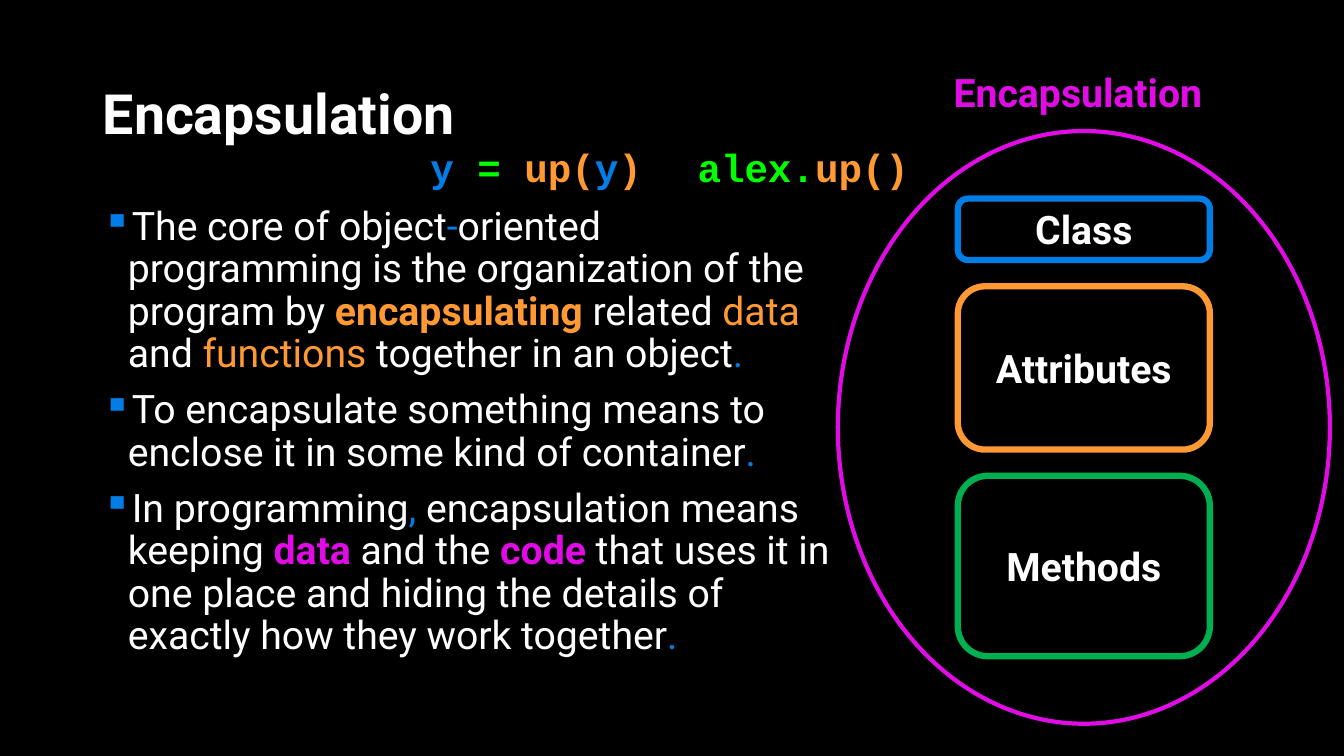
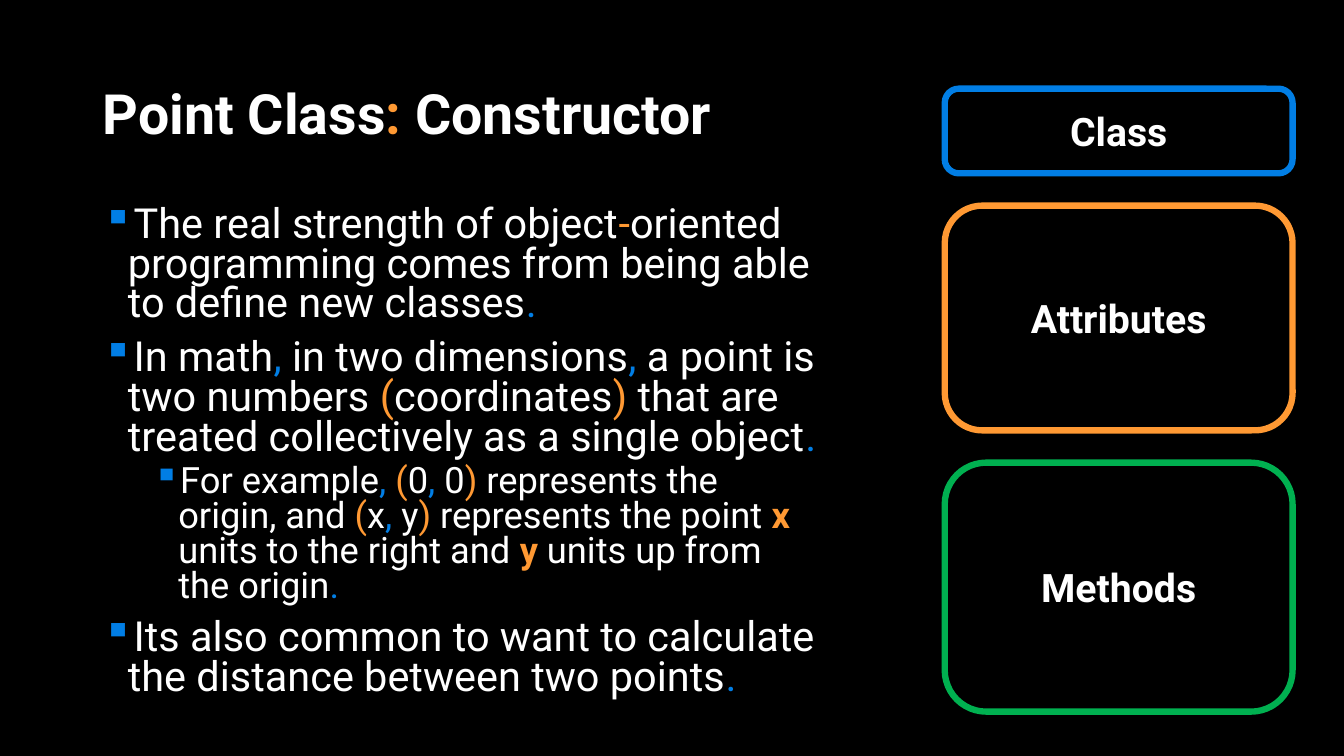
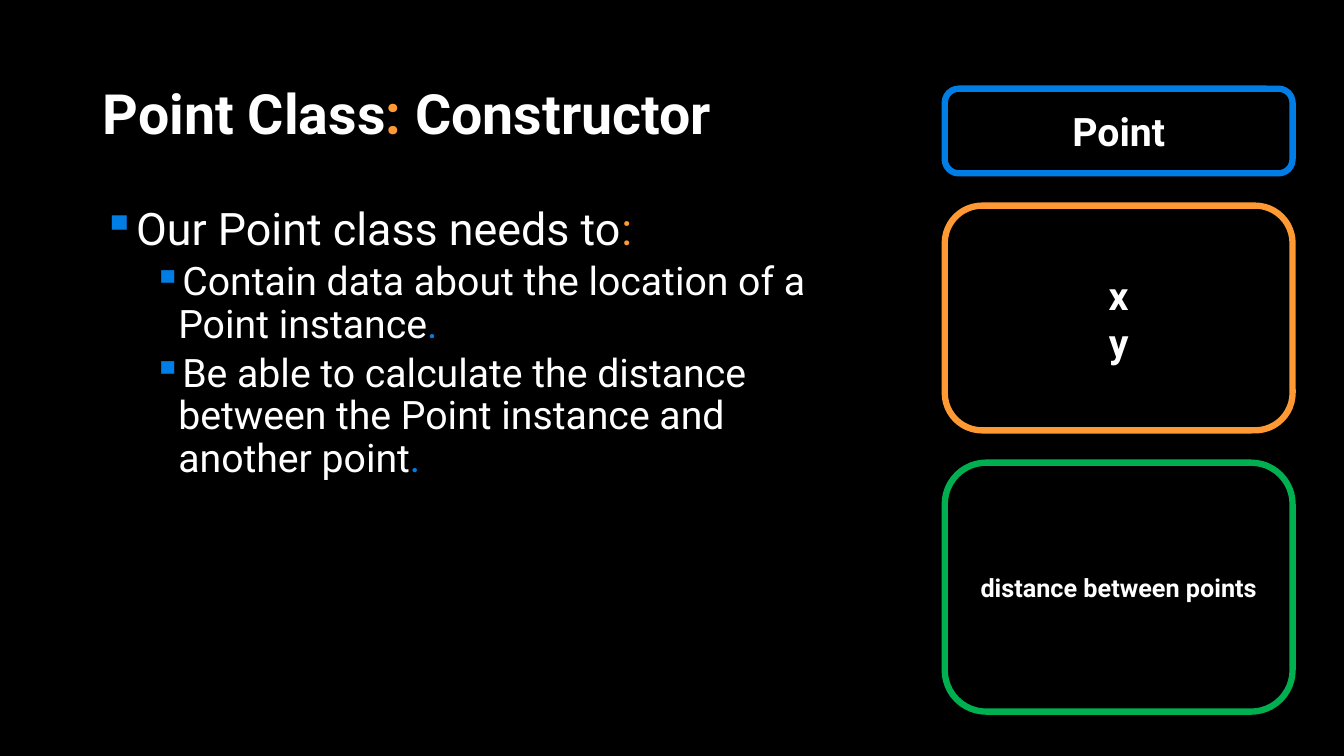
"""Build three slides on encapsulation and the Point class."""
from dataclasses import dataclass
from typing import Any, NamedTuple

from lxml import etree
from pptx import Presentation
from pptx import util as u
from pptx.dml.color import RGBColor
from pptx.enum import shapes, text
from pptx.oxml.ns import qn
from pptx.shapes.autoshape import Shape
from pptx.slide import Slide
from pptx.text.text import TextFrame, _Paragraph

EMU_PER_PX = 9144


@dataclass(frozen=True)
class Theme:
    """Colours, fonts and type sizes of the deck."""

    black: str = "000000"
    white: str = "FFFFFF"
    blue: str = "017EE5"
    orange: str = "FF9933"
    green: str = "00B050"
    lime: str = "00FF00"
    magenta: str = "E00BE5"
    sans: str = "Roboto"
    mono: str = "Courier New"
    title_size: float = 39.6
    label_size: float = 28
    small_size: float = 18
    box_line: float = 4.5
    ring_line: float = 3


THEME = Theme()


class Run(NamedTuple):
    """A stretch of text in one colour and weight."""

    words: str
    colour: str = THEME.white
    bold: bool = False


class Bullet(NamedTuple):
    """A bulleted paragraph at an outline level."""

    runs: list[Run]
    level: int = 0


class Area(NamedTuple):
    """A rectangle in px, 100 px to the inch."""

    left: int
    top: int
    width: int
    height: int


class Body(NamedTuple):
    """The bullet list with its type size at each level."""

    area: Area
    sizes: tuple[float, float]
    line_spacing: float
    bullets: list[Bullet]


class Member(NamedTuple):
    """The content of one box of the class diagram."""

    lines: list[str]
    size: float = THEME.label_size


class Diagram(NamedTuple):
    """A column of class, attribute and method boxes."""

    left: int
    top: int
    width: int
    gap: int
    heights: tuple[int, int, int]
    members: list[Member]


class Label(NamedTuple):
    """A free line of bold text."""

    area: Area
    font: str
    runs: list[Run]


def blue(words: str) -> Run:
    """Return a blue run."""
    return Run(words, THEME.blue)


def orange(words: str, bold: bool = False) -> Run:
    """Return an orange run."""
    return Run(words, THEME.orange, bold)


def magenta(words: str) -> Run:
    """Return a bold magenta run."""
    return Run(words, THEME.magenta, True)


def px(length: int) -> u.Emu:
    """Turn px into EMU."""
    return u.Emu(length * EMU_PER_PX)


def apply(target: Any, values: dict[str, Any]) -> None:
    """Set each named attribute on the target."""
    for name, value in values.items():
        setattr(target, name, value)


def place(area: Area) -> list[u.Emu]:
    """Return an area in EMU."""
    return [px(length) for length in area]


def write(paragraph: _Paragraph, runs: list[Run], size: float,
          font: str = THEME.sans, bold: bool = False) -> None:
    """Add runs to a paragraph."""
    for run in runs:
        part = paragraph.add_run()
        part.text = run.words
        apply(part.font, {"name": font, "size": u.Pt(size), "bold": bold or run.bold})
        part.font.color.rgb = RGBColor.from_string(run.colour)


def next_paragraph(frame: TextFrame, index: int) -> _Paragraph:
    """Return the first paragraph, or a new one after it."""
    return frame.add_paragraph() if index else frame.paragraphs[0]


def draw_title(slide: Slide, runs: list[Run]) -> None:
    """Move and fill the title placeholder."""
    title = slide.shapes.title
    apply(title, dict(zip(Area._fields, place(Area(92, 80, 1150, 72)))))
    apply(title.text_frame, {"vertical_anchor": text.MSO_ANCHOR.MIDDLE, "word_wrap": True,
                             "auto_size": text.MSO_AUTO_SIZE.NONE})
    heading = title.text_frame.paragraphs[0]
    apply(heading, {"alignment": text.PP_ALIGN.LEFT, "line_spacing": 0.9})
    write(heading, runs, THEME.title_size, bold=True)


def add_marker(paragraph: _Paragraph, level: int) -> None:
    """Give a paragraph a hanging square bullet."""
    properties = paragraph._p.get_or_add_pPr()
    properties.set("marL", str(px(25 + 50 * level)))
    properties.set("indent", str(px(-25)))
    colour = etree.SubElement(properties, qn("a:buClr"))
    etree.SubElement(colour, qn("a:srgbClr"), val=THEME.blue)
    etree.SubElement(properties, qn("a:buChar"), char="▪")


def draw_body(slide: Slide, body: Body) -> None:
    """Draw the bullet list."""
    frame = slide.shapes.add_textbox(*place(body.area)).text_frame
    frame.word_wrap = True
    for index, bullet in enumerate(body.bullets):
        paragraph = next_paragraph(frame, index)
        apply(paragraph, {"level": bullet.level, "line_spacing": body.line_spacing,
                          "space_before": u.Pt(5 if bullet.level else 10)})
        add_marker(paragraph, bullet.level)
        write(paragraph, bullet.runs, body.sizes[bullet.level])


def draw_outline(slide: Slide, kind: shapes.MSO_SHAPE, area: Area,
                 colour: str, width: float) -> Shape:
    """Draw an unfilled shape with a coloured line."""
    outline = slide.shapes.add_shape(kind, *place(area))
    outline.shadow.inherit = False
    outline.fill.background()
    outline.line.color.rgb = RGBColor.from_string(colour)
    outline.line.width = u.Pt(width)
    return outline


def draw_diagram(slide: Slide, diagram: Diagram) -> None:
    """Stack the boxes of a class diagram."""
    top = diagram.top
    colours = (THEME.blue, THEME.orange, THEME.green)
    for height, colour, member in zip(diagram.heights, colours, diagram.members):
        area = Area(diagram.left, top, diagram.width, height)
        box = draw_outline(slide, shapes.MSO_SHAPE.ROUNDED_RECTANGLE, area,
                           colour, THEME.box_line)
        box.text_frame.vertical_anchor = text.MSO_ANCHOR.MIDDLE
        for index, line in enumerate(member.lines):
            paragraph = next_paragraph(box.text_frame, index)
            paragraph.alignment = text.PP_ALIGN.CENTER
            write(paragraph, [Run(line)], member.size, bold=True)
        top += height + diagram.gap


def draw_label(slide: Slide, label: Label) -> None:
    """Draw a free label on one line."""
    frame = slide.shapes.add_textbox(*place(label.area)).text_frame
    apply(frame, {"word_wrap": False, "auto_size": text.MSO_AUTO_SIZE.SHAPE_TO_FIT_TEXT})
    write(frame.paragraphs[0], label.runs, THEME.label_size, label.font, bold=True)


def point_diagram(members: list[Member]) -> Diagram:
    """Return the large diagram of the Point slides."""
    return Diagram(937, 88, 345, 32, (84, 223, 247), members)


GENERIC_MEMBERS = [Member(["Class"]), Member(["Attributes"]), Member(["Methods"])]
POINT_MEMBERS = [Member(["Point"]), Member(["x", "y"]),
                 Member(["distance between points"], THEME.small_size)]
POINT_TITLE = [Run("Point Class"), orange(":"), Run(" Constructor")]
POINT_AREA = Area(92, 200, 731, 529)

ENCAPSULATION_BODY = Body(Area(92, 200, 743, 529), (28, 28), 0.9, [
    Bullet([Run("The core of object"), blue("-"),
            Run("oriented programming is the organization of the program by "),
            orange("encapsulating", True), Run(" related "), orange("data"),
            Run(" and "), orange("functions"), Run(" together in an object"), blue(".")]),
    Bullet([Run("To encapsulate something means to enclose it in some kind of container"),
            blue(".")]),
    Bullet([Run("In programming"), blue(","), Run(" encapsulation means keeping "),
            magenta("data"), Run(" and the "), magenta("code"),
            Run(" that uses it in one place and hiding the details of exactly"
                " how they work together"), blue(".")]),
])
STRENGTH_BODY = Body(POINT_AREA, (29.6, 25.9), 0.8, [
    Bullet([Run("The real strength of object"), orange("-"),
            Run("oriented programming comes from being able to define new classes"),
            blue(".")]),
    Bullet([Run("In math"), blue(","), Run(" in two dimensions"), blue(","),
            Run(" a point is two numbers "), orange("("), Run("coordinates"), orange(")"),
            Run(" that are treated collectively as a single object"), blue(".")]),
    Bullet([Run("For example"), blue(", "), orange("("), Run("0"), blue(","), Run(" 0"),
            orange(")"), Run(" represents the origin, and"), orange(" ("), Run("x"),
            blue(","), Run(" y"), orange(")"), Run(" represents the point "),
            orange("x", True), Run(" units to the right and "), orange("y", True),
            Run(" units up from the origin"), blue(".")], 1),
    Bullet([Run("Its also common to want to calculate the distance between two points"),
            blue(".")]),
])
NEEDS_BODY = Body(POINT_AREA, (32, 28), 0.9, [
    Bullet([Run("Our Point class needs to"), orange(":")]),
    Bullet([Run("Contain data about the location of a Point instance"), blue(".")], 1),
    Bullet([Run("Be able to calculate the distance between the Point instance"
                " and another point"), blue(".")], 1),
])
ENCAPSULATION_LABELS = [
    Label(Area(936, 63, 277, 57), THEME.sans, [magenta("Encapsulation")]),
    Label(Area(417, 137, 232, 57), THEME.mono,
          [blue("y"), Run(" = ", THEME.lime), orange("up("), blue("y"), orange(")")]),
    Label(Area(682, 137, 232, 57), THEME.mono,
          [Run("alex.", THEME.lime), orange("up()")]),
]


def main() -> None:
    """Build and save the deck."""
    deck = Presentation()
    apply(deck, {"slide_width": px(1333), "slide_height": px(750)})
    backdrop = deck.slide_master.background.fill
    backdrop.solid()
    backdrop.fore_color.rgb = RGBColor.from_string(THEME.black)
    title_only = deck.slide_layouts.get_by_name("Title Only")

    pages = [
        ([Run("Encapsulation")], ENCAPSULATION_BODY,
         Diagram(950, 197, 250, 26, (61, 162, 179), GENERIC_MEMBERS)),
        (POINT_TITLE, STRENGTH_BODY, point_diagram(GENERIC_MEMBERS)),
        (POINT_TITLE, NEEDS_BODY, point_diagram(POINT_MEMBERS)),
    ]
    for title, body, diagram in pages:
        slide = deck.slides.add_slide(title_only)
        draw_title(slide, title)
        draw_body(slide, body)
        draw_diagram(slide, diagram)

    encapsulation = deck.slides[0]
    draw_outline(encapsulation, shapes.MSO_SHAPE.OVAL, Area(831, 130, 488, 588),
                 THEME.magenta, THEME.ring_line)
    for label in ENCAPSULATION_LABELS:
        draw_label(encapsulation, label)
    deck.save("out.pptx")


if __name__ == "__main__":
    main()
